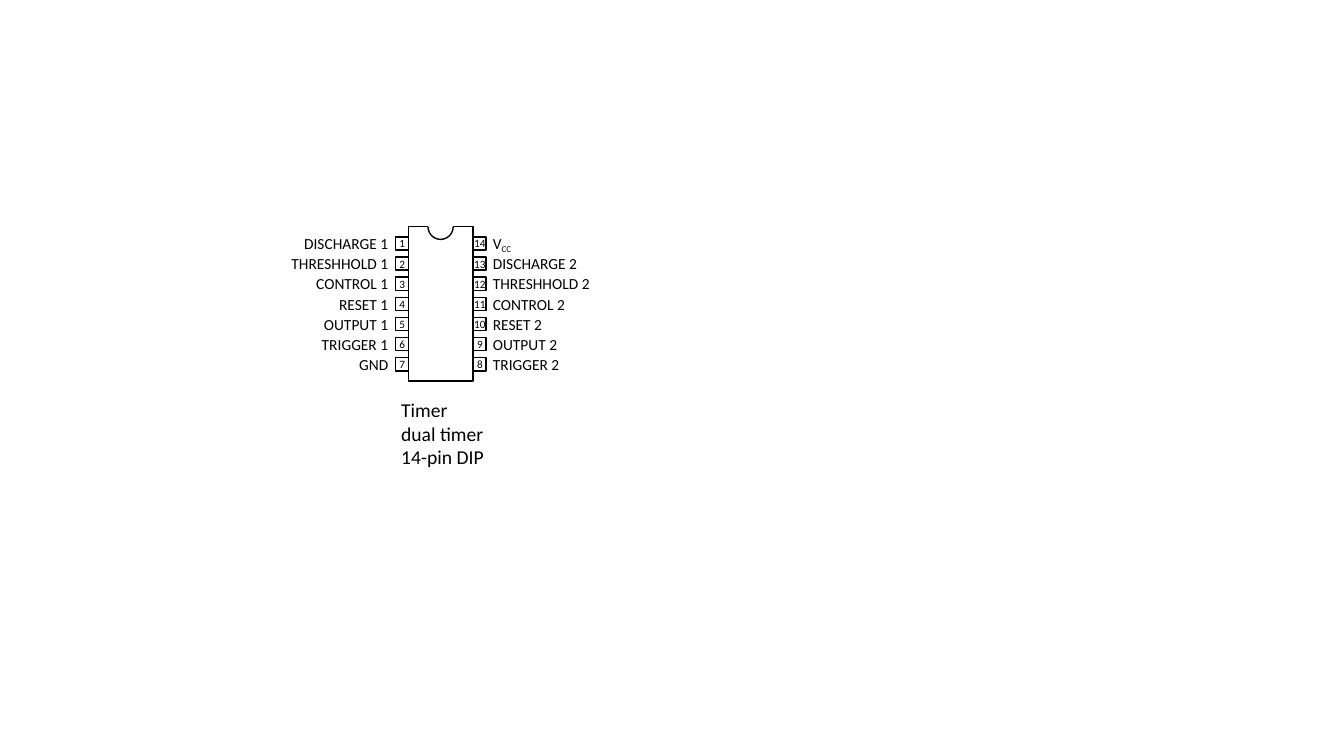
from pptx import Presentation, util as u
from pptx.dml.color import RGBColor
from pptx.enum import shapes, text

INK, PAPER = "000000", "FFFFFF"
ROWS = 7
LEFT_LABELS = ["DISCHARGE 1", "THRESHHOLD 1", "CONTROL 1", "RESET 1",
               "OUTPUT 1", "TRIGGER 1", "GND"]
RIGHT_LABELS = ["V|CC", "DISCHARGE 2", "THRESHHOLD 2", "CONTROL 2",
                "RESET 2", "OUTPUT 2", "TRIGGER 2"]
LEFT_PINS = [str(pin) for pin in range(1, ROWS + 1)]
RIGHT_PINS = [str(pin) for pin in range(2 * ROWS, ROWS, -1)]


def color(value):
    """Turn a hex string into a colour."""
    return RGBColor.from_string(value)


def inches(box):
    """Turn a box of four numbers into lengths."""
    return [u.Inches(side) for side in box]


def add_outline(parent, kind, box, fill=None, line=None):
    """Draw a preset shape with an optional fill and line."""
    shape = parent.shapes.add_shape(kind, *inches(box))
    shape.shadow.inherit = False
    if fill:
        shape.fill.solid()
        shape.fill.fore_color.rgb = color(fill)
    else:
        shape.fill.background()
    if line:
        shape.line.color.rgb = color(line)
        shape.line.width = u.Pt(1)
    else:
        shape.line.fill.background()
    return shape


def add_text(parent, box, lines, size, align):
    """Write lines in a text box; what follows a bar is subscript."""
    frame = parent.shapes.add_textbox(*inches(box)).text_frame
    frame.word_wrap = True
    frame.auto_size = text.MSO_AUTO_SIZE.SHAPE_TO_FIT_TEXT
    for row, line in enumerate(lines):
        para = frame.add_paragraph() if row else frame.paragraphs[0]
        para.alignment = align
        for part, words in enumerate(line.split("|")):
            span = para.add_run()
            span.text = words
            for name, value in {"name": "Calibri", "size": u.Pt(size)}.items():
                setattr(span.font, name, value)
            span.font.color.rgb = color(INK)
            if part:
                span.font._element.set("baseline", "-25000")


def add_column(parent, box, words, size, align):
    """Spread one text box per pin row down the given box."""
    left, top, width, height = box
    for row, word in enumerate(words):
        place = (left, top + row * height / ROWS, width, size / 60 + 0.1)
        add_text(parent, place, [word], size, align)


def add_chip(page, box):
    """Draw the pins, body, notch and pin numbers of the chip."""
    left, top, width, height = box
    chip = page.shapes.add_group_shape()
    rect = shapes.MSO_SHAPE.RECTANGLE
    pitch, pin, notch = 0.2, 0.13, 0.25
    for row in range(ROWS):
        add_outline(chip, rect, (left, top + 0.1 + row * pitch, width, pin), line=INK)
    add_outline(chip, rect, (left + pin, top, width - 2 * pin, height), PAPER, INK)
    notch_left = left + (width - notch) / 2
    add_outline(chip, rect, (notch_left, top - 0.06, notch, 0.11), PAPER)
    arc = add_outline(chip, shapes.MSO_SHAPE.ARC,
                      (notch_left, top - notch / 2, notch, notch), line=INK)
    arc.adjustments[0], arc.adjustments[1] = 0, 108
    for middle, numbers in ((left + 0.07, LEFT_PINS), (left + width - 0.06, RIGHT_PINS)):
        add_column(chip, (middle - 0.2, top + 0.05, 0.4, ROWS * pitch),
                   numbers, 8, text.PP_ALIGN.CENTER)


def add_labels(page, box, words, align):
    """Write the signal names along one side of the chip."""
    add_column(page.shapes.add_group_shape(), box, words, 11, align)


def main():
    """Build the pinout slide."""
    deck = Presentation()
    deck.slide_width, deck.slide_height = u.Inches(13.33), u.Inches(7.5)
    page = deck.slides.add_slide(deck.slide_layouts[6])
    add_chip(page, (3.92, 2.25, 0.9, 1.53))
    add_text(page, (3.88, 3.9, 1.25, 0.81), ["Timer", "dual timer", "14-pin DIP"],
             14, text.PP_ALIGN.LEFT)
    add_labels(page, (2.52, 2.27, 1.43, 1.41), LEFT_LABELS, text.PP_ALIGN.RIGHT)
    add_labels(page, (4.79, 2.27, 1.43, 1.41), RIGHT_LABELS, text.PP_ALIGN.LEFT)
    deck.save("out.pptx")


if __name__ == "__main__":
    main()
